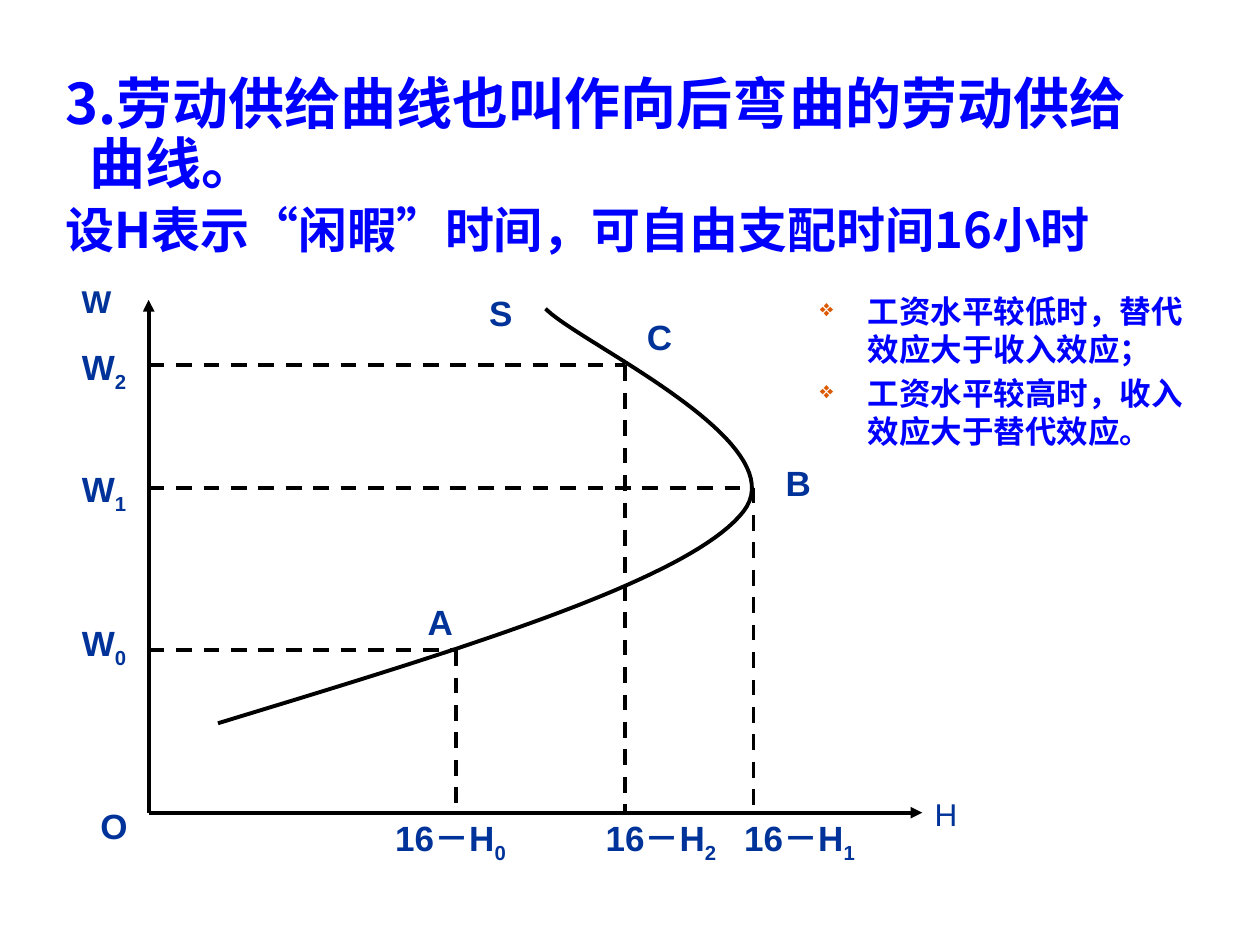
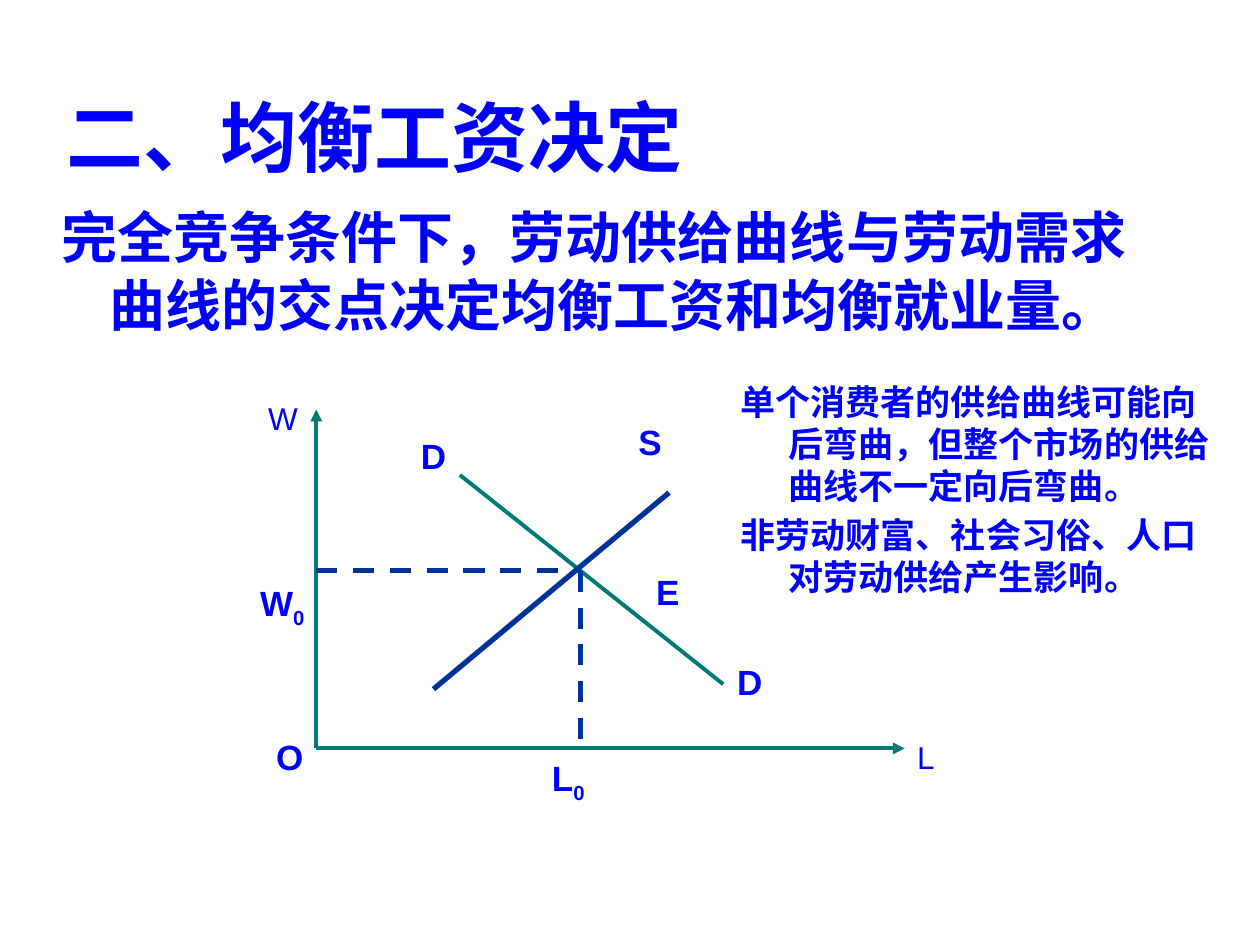
import pptx
import pptx.util
import pptx.dml.color
import pptx.enum.dml
import pptx.enum.shapes
import pptx.enum.text
import pptx.oxml
import pptx.oxml.ns
import lxml.etree

Pt = pptx.util.Pt
RGB = pptx.dml.color.RGBColor
ALIGN = pptx.enum.text.PP_ALIGN
ANCHOR = pptx.enum.text.MSO_ANCHOR

BLUE = RGB(0x00, 0x00, 0xFF)
NAVY = RGB(0x00, 0x33, 0x99)
TEAL = RGB(0x00, 0x7A, 0x77)
BLACK = RGB(0x00, 0x00, 0x00)
ORANGE = RGB(0xDC, 0x59, 0x00)
LATIN, CHINESE = "Arial", "Noto Sans CJK SC"

COLUMNS, ROWS = 10, 7.5
CELL = pptx.util.Inches(1)
HANG = 0.38


def grid(*cells):
    return [round(CELL * cell) for cell in cells]


def add_xml(parent, tag, **attributes):
    element = lxml.etree.SubElement(parent, pptx.oxml.ns.qn(tag))
    for key, value in attributes.items():
        element.set(key, str(value))
    return element


def set_bullet(paragraph, bullet):
    properties = paragraph._p.get_or_add_pPr()
    if bullet:
        colour = add_xml(properties, "a:buClr")
        add_xml(colour, "a:srgbClr", val=ORANGE)
        add_xml(properties, "a:buSzPct", val=75000)
        add_xml(properties, "a:buChar", char=bullet)
    else:
        add_xml(properties, "a:buNone")


def write(frame, paragraphs, sizes, colour=BLUE, font=LATIN, bold=True,
          align=ALIGN.LEFT, anchor=ANCHOR.TOP, wrap=True, hang=0, first=None,
          bullet=None, spacing=1.0, before=0.2):
    """Fill a frame; in each paragraph "_" starts a subscript."""
    frame.word_wrap = wrap
    frame.auto_size = pptx.enum.text.MSO_AUTO_SIZE.NONE
    frame.vertical_anchor = anchor
    for index, (text, size) in enumerate(zip(paragraphs, sizes)):
        paragraph = frame.add_paragraph() if index else frame.paragraphs[0]
        paragraph.alignment = align
        paragraph.line_spacing = spacing
        paragraph.space_before = Pt(size * before)
        properties = paragraph._p.get_or_add_pPr()
        left, indent = grid(hang, -hang if first is None else first)
        properties.set("marL", str(left))
        properties.set("indent", str(indent))
        set_bullet(paragraph, bullet)
        for part, words in enumerate(text.split("_")):
            run = paragraph.add_run()
            run.text = words
            run.font.size = Pt(size)
            run.font.bold = bold
            run.font.name = font
            run.font.color.rgb = colour
            add_xml(run._r.get_or_add_rPr(), "a:ea", typeface=CHINESE)
            if part:
                run._r.get_or_add_rPr().set("baseline", "-25000")


def fill_placeholder(placeholder, box, paragraphs, sizes, **style):
    (placeholder.left, placeholder.top,
     placeholder.width, placeholder.height) = grid(*box)
    write(placeholder.text_frame, paragraphs, sizes, **style)


def add_text(slide, box, paragraphs, size, **style):
    frame = slide.shapes.add_textbox(*grid(*box)).text_frame
    write(frame, paragraphs, [size] * len(paragraphs), **style)


def add_labels(slide, labels, width, height, colour):
    """Place centred labels, given as (text, left, top)."""
    for text, left, top in labels:
        add_text(slide, (left, top, width, height), [text], 20, colour=colour,
                 align=ALIGN.CENTER, anchor=ANCHOR.MIDDLE, wrap=False)


def add_line(slide, start, end, colour, weight=2.25, dashed=False, arrow=False):
    line = slide.shapes.add_connector(
        pptx.enum.shapes.MSO_CONNECTOR.STRAIGHT, *grid(*start, *end))
    line.line.color.rgb = colour
    line.line.width = Pt(weight)
    if dashed:
        line.line.dash_style = pptx.enum.dml.MSO_LINE.DASH
    if arrow:
        add_xml(line.line._get_or_add_ln(), "a:tailEnd", type="triangle")
    add_xml(line._element.spPr, "a:effectLst")


def add_axes(slide, origin, top, right, colour):
    add_line(slide, origin, (origin[0], top), colour, arrow=True)
    add_line(slide, origin, (right, origin[1]), colour, arrow=True)


def add_guides(slide, origin, point, colour, weight=2.25):
    """Dashed lines from a point of the curve to both axes."""
    x, y = point
    add_line(slide, (origin[0], y), point, colour, weight, dashed=True)
    add_line(slide, point, (x, origin[1]), colour, weight, dashed=True)


def bezier(controls, steps=40):
    a, b, c, d = controls
    for step in range(1, steps + 1):
        t = step / steps
        u = 1 - t
        yield tuple(u**3 * a[i] + 3 * u * u * t * b[i]
                    + 3 * u * t * t * c[i] + t**3 * d[i] for i in (0, 1))


def add_curve(slide, sections, colour):
    builder = slide.shapes.build_freeform(*grid(*sections[0][0]))
    points = [grid(*point) for section in sections for point in bezier(section)]
    builder.add_line_segments(points, close=False)
    curve = builder.convert_to_shape()
    curve.fill.background()
    curve.line.color.rgb = colour
    curve.line.width = Pt(2.25)
    curve.shadow.inherit = False


def labour_supply_slide(deck):
    slide = deck.slides.add_slide(deck.slide_layouts[1])
    title, body = slide.placeholders
    title._element.getparent().remove(title._element)
    fill_placeholder(
        body, (0.23, 0.55, 9, 1.57),
        ["3.劳动供给曲线也叫作向后弯曲的劳动供给曲线。",
         "设H表示“闲暇”时间，可自由支配时间16小时"],
        [32, 28], font=CHINESE, hang=HANG, first=-0.19, spacing=0.9)

    low, turn, high = (3.62, 5.16), (5.98, 3.87), (4.96, 2.9)
    origin = (1.18, 6.45)
    add_curve(slide, [
        [(1.73, 5.74), (3.6, 5.17), (5.47, 4.61), (5.9, 4.06)],
        [(5.9, 4.06), (6.33, 3.51), (4.59, 2.72), (4.33, 2.45)]], BLACK)
    add_axes(slide, origin, 2.38, 7.32, BLACK)
    for point in (low, turn, high):
        add_guides(slide, origin, point, BLACK)

    add_text(slide, (7.32, 6.26, 0.47, 0.4), ["H"], 18, colour=NAVY, bold=False)
    add_text(slide, (0.55, 2.19, 0.44, 0.4), ["W"], 18, colour=NAVY, wrap=False)
    add_labels(slide, [
        ("O", 0.63, 6.39), ("W_0", 0.55, 4.96), ("W_1", 0.55, 3.74),
        ("W_2", 0.55, 2.77), ("A", 3.22, 4.77), ("B", 6.06, 3.67),
        ("C", 4.96, 2.51), ("S", 3.7, 2.32)], 0.55, 0.32, NAVY)
    add_labels(slide, [
        ("16－H_0", 2.97, 6.51), ("16－H_2", 4.64, 6.51),
        ("16－H_1", 5.74, 6.51)], 1.21, 0.32, NAVY)
    add_text(slide, (6.41, 2.27, 3.2, 1.56),
             ["工资水平较低时，替代效应大于收入效应；",
              "工资水平较高时，收入效应大于替代效应。"],
             18, hang=HANG, bullet="❖")


def equilibrium_wage_slide(deck):
    slide = deck.slides.add_slide(deck.slide_layouts[1])
    title, body = slide.placeholders
    fill_placeholder(title, (0.43, 0.68, 9, 0.79), ["二、均衡工资决定"], [44],
                     font=CHINESE, anchor=ANCHOR.MIDDLE, before=0)
    fill_placeholder(
        body, (0.39, 1.56, 9, 1.21),
        ["完全竞争条件下，劳动供给曲线与劳动需求曲线的交点决定均衡工资和均衡就业量。"],
        [32], hang=HANG)

    origin, equilibrium = (2.51, 5.94), (4.61, 4.53)
    add_axes(slide, origin, 3.25, 7.18, TEAL)
    add_line(slide, (3.65, 3.77), (5.74, 5.43), TEAL)
    add_line(slide, (5.31, 3.91), (3.44, 5.47), NAVY, weight=3)
    add_guides(slide, origin, equilibrium, NAVY, weight=3)

    add_text(slide, (7.18, 5.81, 0.36, 0.4), ["L"], 18, bold=False)
    add_text(slide, (2.03, 3.12, 0.44, 0.4), ["W"], 18, bold=False, wrap=False)
    add_labels(slide, [
        ("O", 2.09, 5.9), ("W_0", 2.03, 4.7), ("L_0", 4.3, 6.09),
        ("E", 5.09, 4.59), ("D", 5.74, 5.3), ("S", 4.95, 3.4),
        ("D", 3.23, 3.51)], 0.42, 0.21, BLUE)
    add_text(slide, (5.78, 2.97, 3.98, 1.88),
             ["单个消费者的供给曲线可能向后弯曲，但整个市场的供给曲线不一定向后弯曲。",
              "非劳动财富、社会习俗、人口对劳动供给产生影响。"], 20, hang=HANG)


def main():
    deck = pptx.Presentation()
    deck.slide_width, deck.slide_height = grid(COLUMNS, ROWS)
    labour_supply_slide(deck)
    equilibrium_wage_slide(deck)
    deck.save("out.pptx")


if __name__ == "__main__":
    main()
